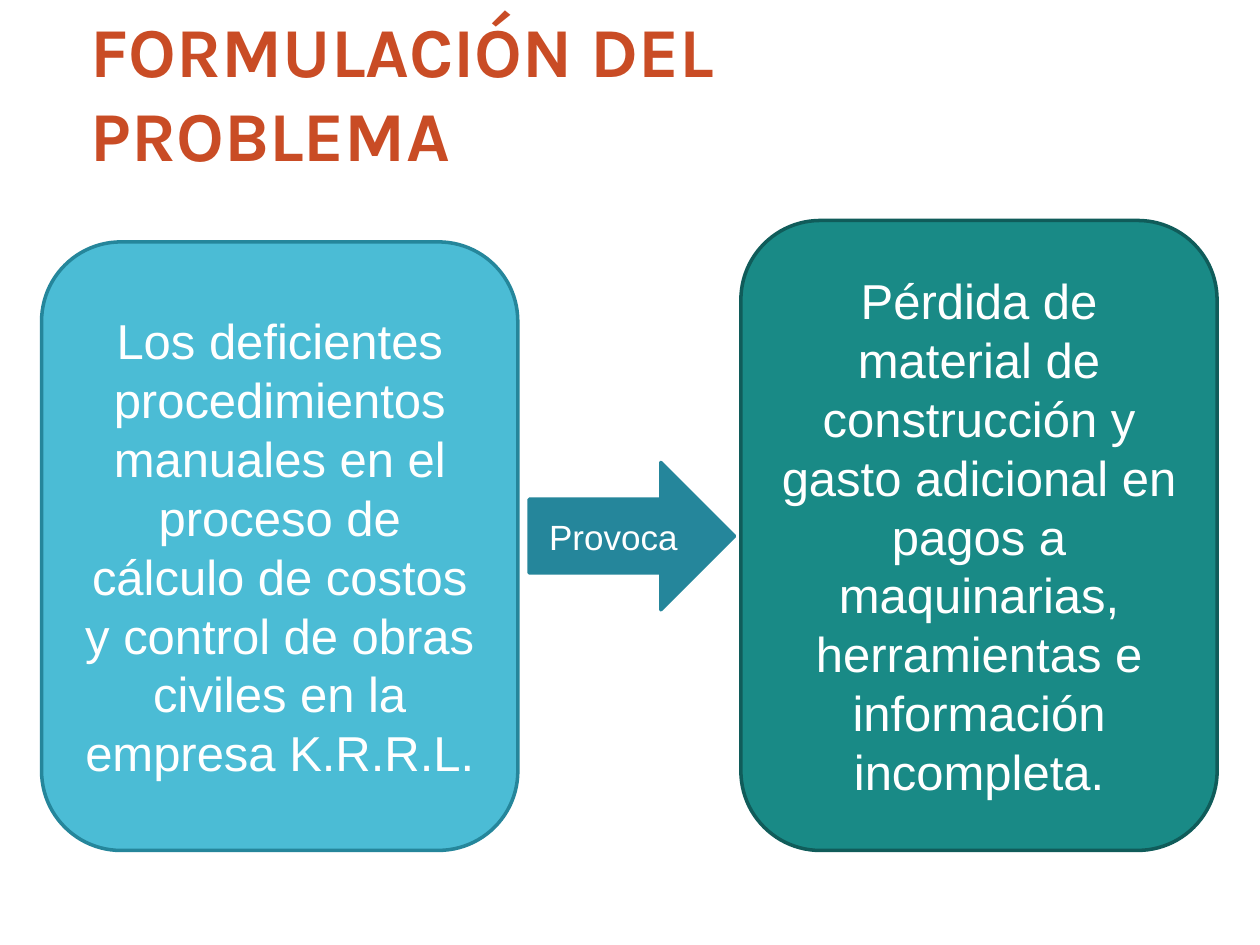
import dataclasses

import pptx
import pptx.dml.color
import pptx.enum.shapes
import pptx.enum.text
import pptx.util

Inches = pptx.util.Inches
Pt = pptx.util.Pt
SHAPE = pptx.enum.shapes.MSO_SHAPE


@dataclasses.dataclass(frozen=True)
class Theme:
    title_color: str = "C94C25"
    text_color: str = "FFFFFF"
    cause: str = "4BBCD5"
    arrow: str = "25869B"
    effect: str = "198A86"
    effect_line: str = "105C5A"
    title_font: str = "Karla"
    body_font: str = "Arial"
    title_size: int = 40
    body_size: int = 28
    arrow_size: int = 20
    line_width: int = 2


def rgb(value):
    return pptx.dml.color.RGBColor.from_string(value)


class Builder:
    def __init__(self, slide, theme):
        self.slide = slide
        self.theme = theme

    def set_text(self, shape, text, font, size, color):
        """Put one vertically centred paragraph into a shape and return it."""
        tf = shape.text_frame
        tf.word_wrap = True
        tf.vertical_anchor = pptx.enum.text.MSO_ANCHOR.MIDDLE
        p = tf.paragraphs[0]
        p.text = text
        p.font.name = font
        p.font.size = Pt(size)
        p.font.color.rgb = rgb(color)
        return p

    def title(self, text, left, top, width, height):
        t = self.theme
        s = self.slide.shapes.add_textbox(
            Inches(left), Inches(top), Inches(width), Inches(height))
        p = self.set_text(s, text, t.title_font, t.title_size, t.title_color)
        p.font.bold = True
        s.text_frame.margin_left = Inches(0.2)
        s.text_frame.margin_right = 0

    def block(self, kind, text, left, top, width, height, fill, line, size):
        t = self.theme
        s = self.slide.shapes.add_shape(
            kind, Inches(left), Inches(top), Inches(width), Inches(height))
        s.shadow.inherit = False
        s.fill.solid()
        s.fill.fore_color.rgb = rgb(fill)
        s.line.color.rgb = rgb(line)
        s.line.width = Pt(t.line_width)
        p = self.set_text(s, text, t.body_font, size, t.text_color)
        p.alignment = pptx.enum.text.PP_ALIGN.CENTER


def main():
    prs = pptx.Presentation()
    prs.slide_width = Inches(10)
    prs.slide_height = Inches(7.5)
    theme = Theme()
    b = Builder(prs.slides.add_slide(prs.slide_layouts[6]), theme)

    b.title("FORMULACIÓN DEL PROBLEMA", 0.52, 0.29, 5.2, 0.87)

    card_width, card_bottom = 3.78, 6.75
    cards = [
        ("Pérdida de material de construcción y gasto adicional en pagos a "
         "maquinarias, herramientas e información incompleta.",
         5.88, 1.75, theme.effect, theme.effect_line),
        ("Los deficientes procedimientos manuales en el proceso de cálculo "
         "de costos y control de obras civiles en la empresa K.R.R.L.",
         0.33, 1.92, theme.cause, theme.arrow),
    ]
    for text, left, top, fill, line in cards:
        b.block(SHAPE.ROUNDED_RECTANGLE, text, left, top, card_width,
                card_bottom - top, fill, line, theme.body_size)
    b.block(SHAPE.RIGHT_ARROW, "Provoca", 4.2, 3.67, 1.63, 1.17,
            theme.arrow, theme.arrow, theme.arrow_size)

    prs.save("out.pptx")


if __name__ == "__main__":
    main()
